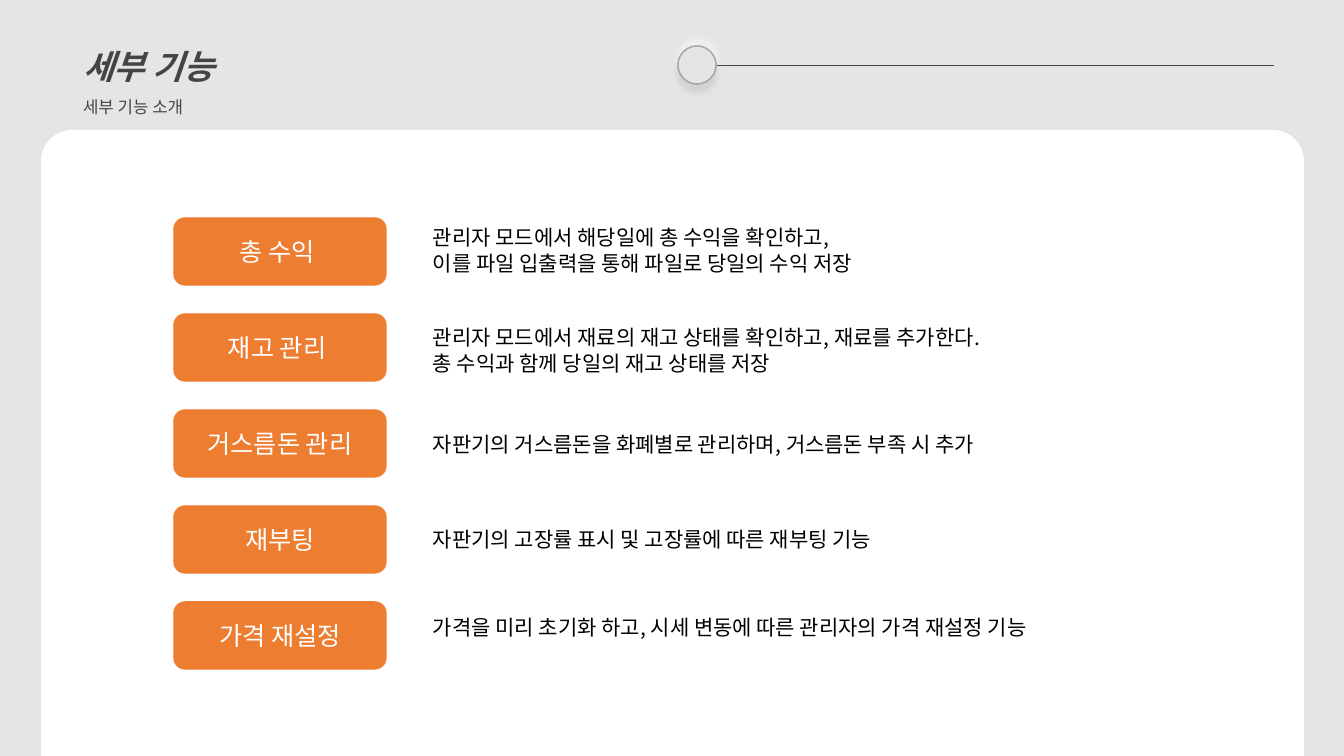
"""Build the slide that introduces the detailed features of a vending machine."""
from lxml.etree import SubElement
from pptx import Presentation
from pptx.dml.color import RGBColor
from pptx.enum.shapes import MSO_CONNECTOR, MSO_SHAPE
from pptx.enum.text import MSO_ANCHOR, MSO_AUTO_SIZE, PP_ALIGN
from pptx.oxml import parse_xml
from pptx.oxml.ns import nsdecls, qn
from pptx.util import Pt

PX = 914400 / 100.8
FONT = "Noto Sans CJK KR"
GREY, ORANGE, WHITE = "434544", "ED7D31", "FFFFFF"


def color(value):
    """Turn a hex string into a colour."""
    return RGBColor.from_string(value)


def style(para, size, value, align=PP_ALIGN.LEFT):
    """Format a paragraph and its runs, for Latin and Korean letters alike."""
    para.alignment = align
    for span in para.runs:
        span.font.size = Pt(size)
        span.font.name = FONT
        span.font.color.rgb = color(value)
        SubElement(span.font._element, qn("a:ea"), typeface=FONT)


deck = Presentation()
deck.slide_width, deck.slide_height = round(1344 * PX), round(756 * PX)
page = deck.slides.add_slide(deck.slide_layouts[5])
page.background.fill.solid()
page.background.fill.fore_color.rgb = color("E5E5E5")

title = page.shapes.title
title.left, title.top, title.width, title.height = [round(n * PX) for n in (73, 21, 514, 98)]
title.text_frame.text = "세부 기능\n세부 기능 소개"
title.text_frame.auto_size = MSO_AUTO_SIZE.NONE
title.text_frame.vertical_anchor = MSO_ANCHOR.TOP
for para, size, strong in zip(title.text_frame.paragraphs, (24, 12), (True, False)):
    style(para, size, GREY)
    para.line_spacing = 1.5
    para.runs[0].font.bold = para.runs[0].font.italic = strong

rule = page.shapes.add_connector(
    MSO_CONNECTOR.STRAIGHT, *[round(n * PX) for n in (678, 65, 1274, 65)])
rule.line.color.rgb = color(GREY)
rule.line.width = Pt(0.5)
SubElement(rule._element.spPr, qn("a:effectLst"))

knob = page.shapes.add_group_shape()
for shade, opacity, angle in (("000000", 8, 90), (WHITE, 40, 270)):
    disc = knob.shapes.add_shape(MSO_SHAPE.OVAL, *[round(n * PX) for n in (678, 46, 38, 38)])
    disc.fill.gradient()
    for stop, tone in zip(disc.fill.gradient_stops, ("E8E8E8", "E5E5E5")):
        stop.color.rgb = color(tone)
    linear = disc._element.spPr.find(".//" + qn("a:lin"))
    linear.getparent().replace(linear, parse_xml(
        f'<a:path {nsdecls("a")} path="circle">'
        '<a:fillToRect l="50000" t="50000" r="50000" b="50000"/></a:path>'))
    disc.line.color.rgb = color("A6A6A6")
    disc.line.width = Pt(1)
    disc.shadow.inherit = False
    disc._element.spPr.find(qn("a:effectLst")).append(parse_xml(
        f'<a:outerShdw {nsdecls("a")} blurRad="{Pt(4)}" dist="{Pt(6)}" dir="{angle * 60000}">'
        f'<a:srgbClr val="{shade}"><a:alpha val="{opacity * 1000}"/></a:srgbClr></a:outerShdw>'))

panel = page.shapes.add_shape(
    MSO_SHAPE.ROUND_2_SAME_RECTANGLE, *[round(n * PX) for n in (41, 130, 1263, 626)])
panel.adjustments[0] = 0.05
panel.shadow.inherit = False
panel.fill.solid()
panel.fill.fore_color.rgb = color(WHITE)
panel.line.fill.background()

features = [
    ("총 수익 ", 220, 61,
     "관리자 모드에서 해당일에 총 수익을 확인하고,\n이를 파일 입출력을 통해 파일로 당일의 수익 저장"),
    ("재고 관리 ", 320, 61,
     "관리자 모드에서 재료의 재고 상태를 확인하고, 재료를 추가한다.\n"
     "총 수익과 함께 당일의 재고 상태를 저장"),
    ("거스름돈 관리", 427, 35, "자판기의 거스름돈을 화폐별로 관리하며, 거스름돈 부족 시 추가"),
    ("재부팅", 522, 35, "자판기의 고장률 표시 및 고장률에 따른 재부팅 기능"),
    ("가격 재설정", 610, 61, "가격을 미리 초기화 하고, 시세 변동에 따른 관리자의 가격 재설정 기능"),
]
for row, (name, top, height, description) in enumerate(features):
    button = page.shapes.add_shape(
        MSO_SHAPE.ROUNDED_RECTANGLE, *[round(n * PX) for n in (174, 218 + 96 * row, 212, 67)])
    button.shadow.inherit = False
    button.fill.solid()
    button.fill.fore_color.rgb = button.line.color.rgb = color(ORANGE)
    button.line.width = Pt(1)
    button.text_frame.text = name
    button.text_frame.vertical_anchor = MSO_ANCHOR.MIDDLE
    style(button.text_frame.paragraphs[0], 18, WHITE, PP_ALIGN.CENTER)

    box = page.shapes.add_textbox(*[round(n * PX) for n in (423, top, 643, height)])
    box.text_frame.word_wrap = True
    box.text_frame.text = description
    for para in box.text_frame.paragraphs:
        style(para, 15, "000000")

deck.save("out.pptx")
